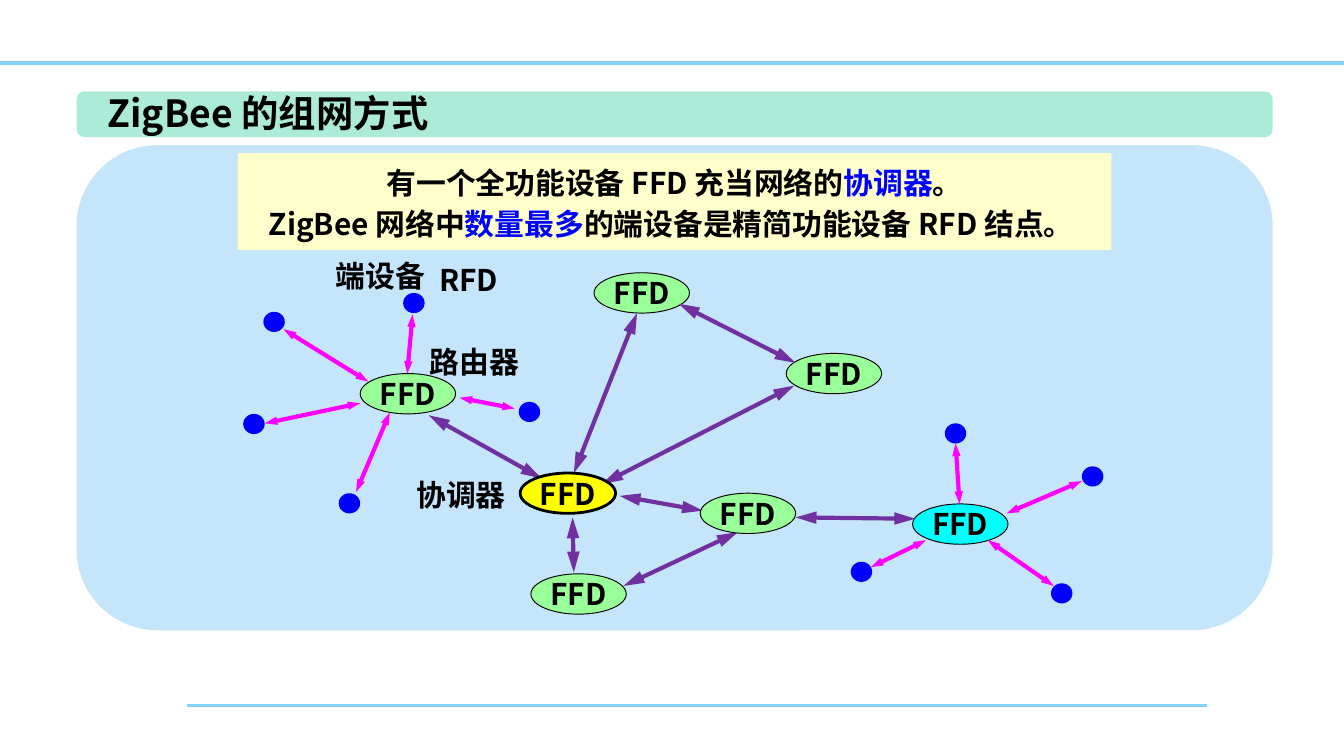
from lxml.etree import SubElement
from pptx import Presentation
from pptx.dml.color import RGBColor
from pptx.enum.shapes import MSO_CONNECTOR, MSO_SHAPE as SHAPE
from pptx.enum.text import MSO_ANCHOR as ANCHOR, MSO_AUTO_SIZE, PP_ALIGN as ALIGN
from pptx.oxml.ns import qn
from pptx.util import Pt

PX = 9144  # 100 px to the inch
FONT = "Noto Sans CJK SC"
COLORS = {
    "rule": "85D1F7", "band": "ABEBD7", "panel": "C5E5FB", "note": "FFFFCC",
    "text": "000000", "blue": "0000FF", "router": "99FF99", "hub": "00FFFF",
    "coordinator": "FFFF00", "mesh": "7030A0", "star": "FF00FF",
}

# Positions are relative to the network box.
DEVICES = [(123, 32), (605, 248), (456, 232), (628, 161), (526, 129),
           (19, 46), (4, 122), (75, 181), (209, 113)]
OUTER_NODES = [(91, 92, "router"), (218, 241, "router"), (408, 77, "router"),
               (265, 17, "router"), (502, 189, "hub")]
INNER_NODES = [(344, 181, "router"), (210, 166, "coordinator")]
MESH_LINKS = [(297, 47, 250, 166), (142, 123, 226, 170), (328, 40, 415, 84),
              (414, 101, 271, 174), (249, 199, 250, 240), (346, 194, 284, 183),
              (504, 200, 415, 199), (372, 210, 287, 250)]
STAR_LINKS = [(34, 59, 97, 98), (165, 110, 206, 118), (130, 48, 126, 92),
              (20, 129, 91, 114), (628, 172, 572, 196), (534, 144, 537, 189),
              (113, 121, 88, 180), (558, 216, 607, 250), (512, 216, 471, 236)]
LABELS = [("RFD", 140, 4, 66), ("端设备", 63, 1, 88),
          ("路由器", 133, 65, 88), ("协调器", 123, 164, 88)]


def rgb(name):
    return RGBColor.from_string(COLORS[name])


def write(sp, *paras, size=16, align=ALIGN.LEFT, anchor=ANCHOR.TOP, wrap=False, spacing=None):
    """Each paragraph is a list of (text, colour name) runs."""
    tf = sp.text_frame
    tf.word_wrap, tf.vertical_anchor = wrap, anchor
    tf.auto_size = MSO_AUTO_SIZE.NONE
    for i, runs in enumerate(paras):
        p = tf.add_paragraph() if i else tf.paragraphs[0]
        p.alignment = align
        if spacing:
            p.line_spacing = Pt(spacing)
        for text, color in runs:
            r = p.add_run()
            r.text = text
            r.font.size, r.font.bold, r.font.name = Pt(size), True, FONT
            r.font.color.rgb = rgb(color)
            SubElement(r.font._element, qn("a:ea"), typeface=FONT)


def add_shape(slide, kind, x, y, w, h, fill, line_width=0):
    sp = slide.shapes.add_shape(kind, x * PX, y * PX, w * PX, h * PX)
    sp.shadow.inherit = False
    sp.fill.solid()
    sp.fill.fore_color.rgb = rgb(fill)
    if line_width:
        sp.line.color.rgb = rgb("text")
        sp.line.width = Pt(line_width)
    else:
        sp.line.fill.background()
    return sp


def add_line(slide, x1, y1, x2, y2, color, width, head=None):
    """head is the (width, length) of the arrowheads at both ends."""
    ln = slide.shapes.add_connector(MSO_CONNECTOR.STRAIGHT, x1 * PX, y1 * PX, x2 * PX, y2 * PX)
    ln.line.color.rgb = rgb(color)
    ln.line.width = Pt(width)
    if head:
        for tag in ("a:headEnd", "a:tailEnd"):
            SubElement(ln.line._get_or_add_ln(), qn(tag), type="triangle", w=head[0], len=head[1])
    SubElement(ln._element.spPr, qn("a:effectLst"))


def add_node(slide, x, y, color):
    width = 1.5 if color == "coordinator" else 0.5
    sp = add_shape(slide, SHAPE.OVAL, x, y, 71, 30, color, width)
    write(sp, [("FFD", "text")], align=ALIGN.CENTER, anchor=ANCHOR.MIDDLE)


def add_rules(slide, x, y, w):
    add_line(slide, x + 139, y + 525, x + w - 102, y + 525, "rule", 1.5)
    add_line(slide, x, y + 47, x + w, y + 47, "rule", 2)


def add_header(slide, x, y, w, h):
    band = add_shape(slide, SHAPE.ROUNDED_RECTANGLE, x, y, w, h, "band")
    band.adjustments[0] = 0.17
    title = slide.shapes.title
    title.left, title.top = (x + 13) * PX, (y - 6) * PX
    title.width, title.height = 266 * PX, 44 * PX
    write(title, [("ZigBee 的组网方式", "text")], size=20)
    slide.shapes._spTree.append(title._element)  # bring in front of the band


def add_note(slide, x, y, w, h):
    note = add_shape(slide, SHAPE.RECTANGLE, x, y, w, h, "note")
    write(note,
          [("有一个全功能设备 FFD 充当网络的", "text"), ("协调器", "blue"), ("。", "text")],
          [("ZigBee 网络中", "text"), ("数量最多", "blue"),
           ("的端设备是精简功能设备 RFD 结点。 ", "text")],
          align=ALIGN.CENTER, wrap=True, spacing=22)


def add_network(slide, x, y):
    for dx, dy in DEVICES:
        add_shape(slide, SHAPE.OVAL, x + dx, y + dy, 16, 15, "blue")
    for dx, dy, color in OUTER_NODES:
        add_node(slide, x + dx, y + dy, color)
    for links, color, head in ((MESH_LINKS, "mesh", ("med", "lg")),
                               (STAR_LINKS, "star", ("sm", "med"))):
        for x1, y1, x2, y2 in links:
            add_line(slide, x + x1, y + y1, x + x2, y + y2, color, 2.25, head)
    for dx, dy, color in INNER_NODES:
        add_node(slide, x + dx, y + dy, color)
    for text, dx, dy, w in LABELS:
        box = slide.shapes.add_textbox((x + dx) * PX, (y + dy) * PX, w * PX, 37 * PX)
        write(box, [(text, "text")])


def add_panel(slide, x, y, w, h):
    add_shape(slide, SHAPE.ROUNDED_RECTANGLE, x, y, w, h, "panel")
    add_note(slide, x + 120, y + 6, w - 240, 72)
    add_network(slide, x + 120, y + 78)


def main():
    prs = Presentation()
    prs.slide_width = 1000 * PX
    prs.slide_height = prs.slide_width * 9 // 16
    slide = prs.slides.add_slide(prs.slide_layouts[5])
    add_rules(slide, 0, 0, 1000)
    add_header(slide, 57, 68, 890, 34)
    add_panel(slide, 57, 108, 890, 361)
    prs.save("out.pptx")


if __name__ == "__main__":
    main()
